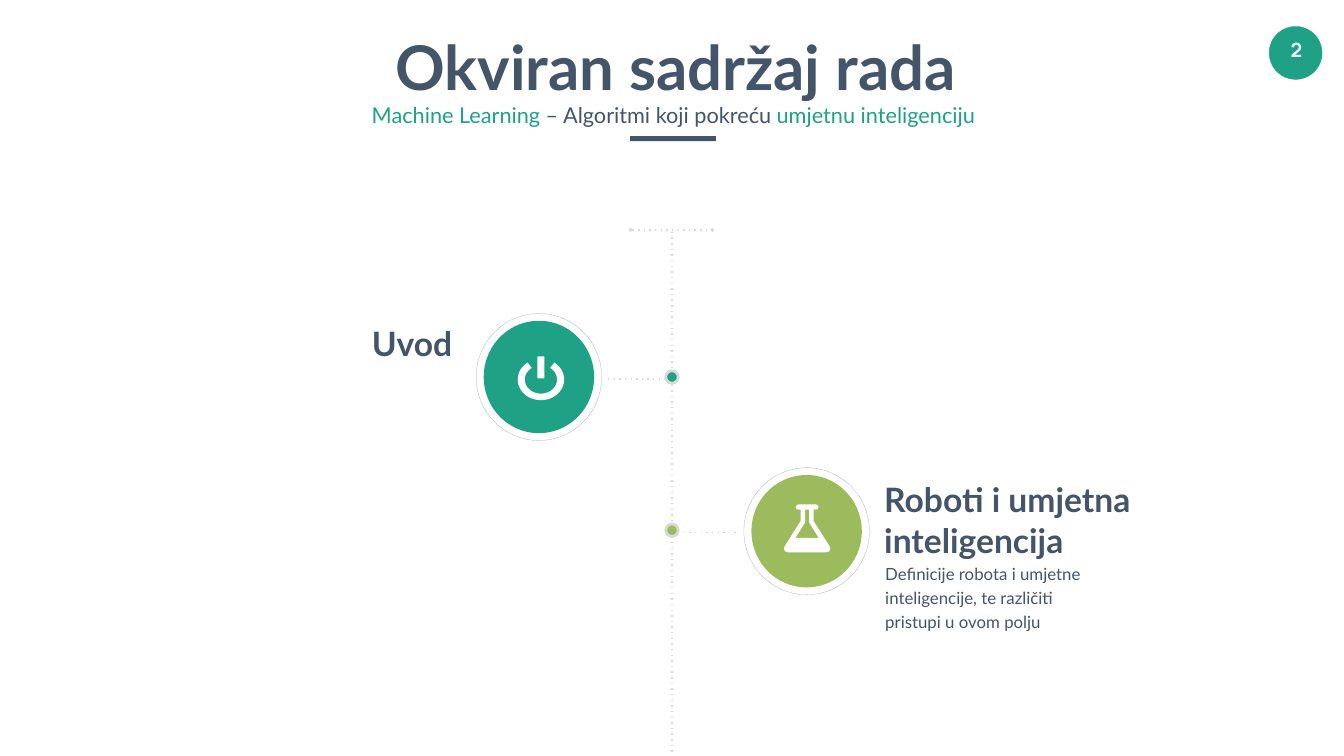
from dataclasses import dataclass
from math import cos, radians, sin
from typing import Optional

from lxml.etree import SubElement
from pptx import Presentation
from pptx.dml.color import RGBColor
from pptx.enum.dml import MSO_LINE_DASH_STYLE as Dash
from pptx.enum.shapes import MSO_CONNECTOR as Connector, MSO_SHAPE as Preset
from pptx.enum.text import MSO_ANCHOR as Anchor, PP_ALIGN as Align
from pptx.oxml.ns import qn
from pptx.util import Inches, Pt

Point = tuple[float, float]
Span = tuple[str, str]


@dataclass(frozen=True)
class Theme:
    green: str = "1EA185"
    olive: str = "9BBB5C"
    navy: str = "445469"
    ring: str = "8497B0"
    rail: str = "D9D9D9"
    white: str = "FFFFFF"
    font: str = "Lato"
    number_font: str = "Manrope"
    title_size: float = 88
    heading_size: float = 48
    subtitle_size: float = 31
    number_size: float = 28
    body_size: float = 24


@dataclass(frozen=True)
class Milestone:
    center: Point
    dot_y: float
    branch: Point
    color: str
    contours: list[list[Point]]


THEME = Theme()
AXIS = 13.33


def arc(center: Point, radii: Point, start: int, stop: int, step: int) -> list[Point]:
    return [
        (center[0] + radii[0] * cos(radians(angle)), center[1] + radii[1] * sin(radians(angle)))
        for angle in range(start, stop + (1 if step > 0 else -1), step)
    ]


def rounded_bar(left: float, top: float, right: float, bottom: float, radius: float) -> list[Point]:
    corners = [(right - radius, top + radius, -90), (right - radius, bottom - radius, 0),
               (left + radius, bottom - radius, 90), (left + radius, top + radius, 180)]
    return [point for x, y, start in corners
            for point in arc((x, y), (radius, radius), start, start + 90, 15)]


def power_icon() -> list[list[Point]]:
    center = (10.73, 7.53)
    ring = arc(center, (0.46, 0.41), -55, 235, 5) + arc(center, (0.32, 0.28), 235, -55, -5)
    return [ring, rounded_bar(10.66, 7.07, 10.8, 7.51, 0.02)]


def flask_icon() -> list[list[Point]]:
    middle = 16.01
    right_half = [(0.18, 10.01), (0.21, 10.03), (0.23, 10.06), (0.21, 10.1), (0.18, 10.11),
                  (0.13, 10.11), (0.13, 10.34), (0.44, 10.83), (0.46, 10.88), (0.45, 10.92),
                  (0.42, 10.95), (0.37, 10.96)]
    window = [(0.04, 10.11), (0.04, 10.37), (0.23, 10.67)]
    return [
        [(middle + x, y) for x, y in half] + [(middle - x, y) for x, y in reversed(half)]
        for half in (right_half, window)
    ]


MILESTONES = [
    Milestone((10.69, 7.48), 7.48, (12.06, 13.21), THEME.green, power_icon()),
    Milestone((16.0, 10.54), 10.52, (13.45, 14.6), THEME.olive, flask_icon()),
]


def rgb(color: str) -> RGBColor:
    return RGBColor.from_string(color)


def paint(shape, fill: Optional[str], line: Optional[str] = None, weight: float = 0.5,
          dash: Optional[Dash] = None) -> None:
    shape.shadow.inherit = False
    if fill:
        shape.fill.solid()
        shape.fill.fore_color.rgb = rgb(fill)
    else:
        shape.fill.background()
    if line:
        shape.line.color.rgb = rgb(line)
        shape.line.width = Pt(weight)
        if dash:
            shape.line.dash_style = dash
    else:
        shape.line.fill.background()


def add_ellipse(page, center: Point, size: Point, fill: Optional[str], **outline) -> None:
    shape = page.shapes.add_shape(
        Preset.OVAL, Inches(center[0] - size[0] / 2), Inches(center[1] - size[1] / 2),
        Inches(size[0]), Inches(size[1]))
    paint(shape, fill, **outline)


def add_dotted_line(page, start: Point, end: Point, diamonds: bool = False) -> None:
    line = page.shapes.add_connector(
        Connector.STRAIGHT, Inches(start[0]), Inches(start[1]), Inches(end[0]), Inches(end[1]))
    line.line.color.rgb = rgb(THEME.rail)
    line.line.width = Pt(2)
    line.line.dash_style = Dash.ROUND_DOT
    outline = line.line._get_or_add_ln()
    outline.find(qn("a:prstDash")).set("val", "dot")
    if diamonds:
        for end_name in ("a:headEnd", "a:tailEnd"):
            SubElement(outline, qn(end_name)).set("type", "diamond")
    SubElement(line._element.spPr, qn("a:effectLst"))


def add_icon(page, contours: list[list[Point]]) -> None:
    outlines = [[(Inches(x), Inches(y)) for x, y in contour] for contour in contours]
    builder = page.shapes.build_freeform(*outlines[0][0], scale=1.0)
    for index, outline in enumerate(outlines):
        if index:
            builder.move_to(*outline[0])
        builder.add_line_segments(outline[1:], close=True)
    paint(builder.convert_to_shape(), THEME.white)


def add_text(page, spans: list[Span], at: tuple[float, float, float, float], *, size: float,
             font: str = THEME.font, bold: bool = False, align: Align = Align.LEFT,
             spacing: float = 1.0, inset: Point = (0.2, 0.1), wrap: bool = True) -> None:
    box = page.shapes.add_textbox(*(Inches(value) for value in at))
    frame = box.text_frame
    frame.word_wrap = wrap
    frame.vertical_anchor = Anchor.TOP
    frame.margin_left = frame.margin_right = Inches(inset[0])
    frame.margin_top = frame.margin_bottom = Inches(inset[1])
    para = frame.paragraphs[0]
    para.alignment = align
    para.line_spacing = spacing
    for text, color in spans:
        span = para.add_run()
        span.text = text
        span.font.name = font
        span.font.size = Pt(size)
        span.font.bold = bold
        span.font.color.rgb = rgb(color)


def add_milestone(page, milestone: Milestone) -> None:
    add_ellipse(page, milestone.center, (2.19, 2.23), milestone.color)
    add_ellipse(page, milestone.center, (2.49, 2.52), None,
                line=THEME.ring, weight=0.25, dash=Dash.SQUARE_DOT)
    add_ellipse(page, (AXIS, milestone.dot_y), (0.25, 0.25), milestone.color,
                line=THEME.rail, weight=4)
    branch_y = milestone.dot_y + 0.04
    add_dotted_line(page, (milestone.branch[0], branch_y), (milestone.branch[1], branch_y))
    add_icon(page, milestone.contours)


def add_header(page) -> None:
    add_text(page, [("Okviran sadržaj rada", THEME.navy)], (5.91, 0.53, 14.98, 1.58),
             size=THEME.title_size, bold=True, align=Align.CENTER, inset=(0.1, 0.05))
    rule = page.shapes.add_shape(Preset.RECTANGLE, Inches(12.5), Inches(2.7), Inches(1.7), Inches(0.1))
    paint(rule, THEME.navy)
    add_text(page, [("Machine Learning ", THEME.green), ("– Algoritmi koji pokreću ", THEME.navy),
                    ("umjetnu inteligenciju", THEME.green)], (6.98, 1.79, 12.75, 0.92),
             size=THEME.subtitle_size, align=Align.CENTER, spacing=1.2, inset=(0.24, 0.12))
    add_ellipse(page, (25.7, 1.05), (1.05, 1.05), THEME.green, line=THEME.green)
    add_text(page, [("2", THEME.white)], (25.23, 0.66, 0.97, 0.67), size=THEME.number_size,
             font=THEME.number_font, bold=True, align=Align.CENTER, wrap=False)


def main() -> None:
    deck = Presentation()
    deck.slide_width, deck.slide_height = Inches(26.66), Inches(15)
    page = deck.slides.add_slide(deck.slide_layouts[6])

    add_header(page)
    add_dotted_line(page, (12.51, 4.56), (14.13, 4.56), diamonds=True)
    for top, bottom in ((4.6, 7.33), (7.63, 10.36), (10.64, 15)):
        add_dotted_line(page, (AXIS, top), (AXIS, bottom))
    for milestone in MILESTONES:
        add_milestone(page, milestone)

    heading = {"size": THEME.heading_size, "bold": True}
    add_text(page, [("Uvod", THEME.navy)], (6.89, 6.3, 2.28, 1.01), align=Align.RIGHT, **heading)
    add_text(page, [("Roboti i umjetna inteligencija", THEME.navy)], (17.34, 9.41, 6.7, 1.82), **heading)
    add_text(page, [("Definicije robota i umjetne inteligencije, te različiti pristupi u ovom polju",
                     THEME.navy)], (17.36, 11, 4.78, 1.61), size=THEME.body_size, spacing=1.2)
    deck.save("out.pptx")


if __name__ == "__main__":
    main()
